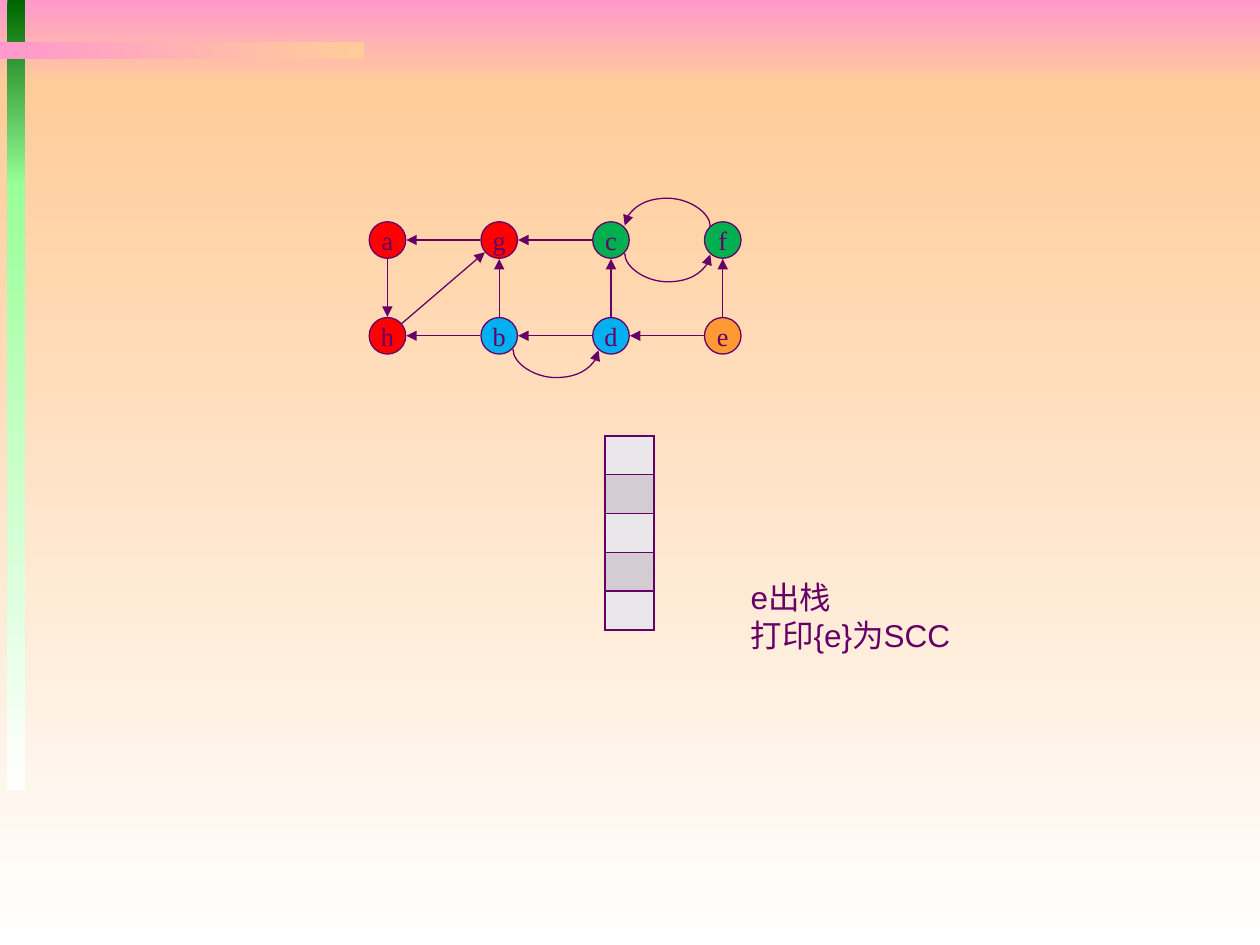
from lxml import etree
from pptx import Presentation
from pptx.dml.color import RGBColor
from pptx.enum import shapes, text
from pptx.oxml.ns import qn
from pptx.util import Inches, Pt

HEX = {
    "pink": "FF99CC", "peach": "FFCC99", "white": "FFFFFF",
    "dark": "006600", "mint": "99FF99", "plum": "660066",
    "red": "FF0000", "blue": "00B0F0", "green": "00B050",
    "orange": "FF9933", "pale": "EAE7EA", "grey": "D3CCD3",
}
RGB = {name: RGBColor.from_string(code) for name, code in HEX.items()}


def write(frame, words, font="Arial", size=18, align=text.PP_ALIGN.LEFT):
    frame.text = words
    for para in frame.paragraphs:
        para.alignment = align
        for run in para.runs:
            run.font.name = font
            run.font.size = Pt(size)
            run.font.color.rgb = RGB["plum"]


def arrow(kind, x1, y1, x2, y2):
    """Add a thin connector with a triangle at its end."""
    link = slide.shapes.add_connector(
        kind, Inches(x1), Inches(y1), Inches(x2), Inches(y2))
    link.line.color.rgb = RGB["plum"]
    link.line.width = Pt(0.75)
    etree.SubElement(link.line._get_or_add_ln(), qn("a:tailEnd"), type="triangle")
    etree.SubElement(link._element.spPr, qn("a:effectLst"))
    return link


prs = Presentation()
prs.slide_width, prs.slide_height = Inches(10), Inches(7.5)
slide = prs.slides.add_slide(prs.slide_layouts[6])

# Backdrop and side bars: left, top, width, height, two colours, angle
bands = [
    (0, 0, 10, 0.67, "pink", "peach", 270),
    (0, 0.67, 10, 6.83, "peach", "white", 270),
    (0.06, 0, 0.14, 1.48, "dark", "mint", 270),
    (0.06, 1.46, 0.14, 4.81, "mint", "white", 270),
    (0, 0.33, 2.89, 0.14, "pink", "peach", 0),
]
for *box, first, last, angle in bands:
    band = slide.shapes.add_shape(
        shapes.MSO_SHAPE.RECTANGLE, *[Inches(v) for v in box])
    band.shadow.inherit = False
    band.line.fill.background()
    band.fill.gradient()
    band.fill.gradient_angle = angle
    for stop, name, place in zip(band.fill.gradient_stops, (first, last), (0, 1)):
        stop.color.rgb = RGB[name]
        stop.position = place

# Graph nodes on a grid of four columns and two rows
SIZE, RAD = 0.29, 0.15
rows = [
    (1.76, [("a", "red"), ("g", "red"), ("c", "green"), ("f", "green")]),
    (2.52, [("h", "red"), ("b", "blue"), ("d", "blue"), ("e", "orange")]),
]
mid = {}
for top, nodes in rows:
    for col, (name, fill) in enumerate(nodes):
        left = 2.93 + 0.887 * col
        mid[name] = (left + SIZE / 2, top + SIZE / 2)
        node = slide.shapes.add_shape(
            shapes.MSO_SHAPE.OVAL, Inches(left), Inches(top),
            Inches(SIZE), Inches(SIZE))
        node.shadow.inherit = False
        node.fill.solid()
        node.fill.fore_color.rgb = RGB[fill]
        node.line.color.rgb = RGB["plum"]
        node.line.width = Pt(0.75)
        frame = node.text_frame
        frame.margin_left = frame.margin_right = 0
        frame.margin_top = frame.margin_bottom = 0
        frame.vertical_anchor = text.MSO_ANCHOR.MIDDLE
        write(frame, name, font="Times New Roman", size=15,
              align=text.PP_ALIGN.CENTER)

# Straight edges run from rim to rim
for start, end in ["ga", "cg", "bg", "dc", "ef", "ah", "bh", "db", "ed", "hg"]:
    (x1, y1), (x2, y2) = mid[start], mid[end]
    span = ((x2 - x1) ** 2 + (y2 - y1) ** 2) ** 0.5
    dx, dy = RAD * (x2 - x1) / span, RAD * (y2 - y1) / span
    arrow(shapes.MSO_CONNECTOR.STRAIGHT, x1 + dx, y1 + dy, x2 - dx, y2 - dy)

# Curved edges: a thin upright connector turned by 270 degrees, bulging 0.23
THIN, HALF, DIAG = 0.01, 0.34, 0.11
for start, end in ["fc", "cf", "bd"]:
    (x1, y1), (x2, _) = mid[start], mid[end]
    x = (x1 + x2) / 2
    if x2 < x1:
        y = y1 - DIAG
        ends = (x, y + HALF, x + THIN, y - HALF)
    else:
        y = y1 + DIAG
        ends = (x + THIN, y - HALF, x, y + HALF)
    curve = arrow(shapes.MSO_CONNECTOR.CURVE, *ends)
    props = curve._element.spPr
    props.find(qn("a:xfrm")).set("rot", str(270 * 60000))
    geom = props.find(qn("a:prstGeom"))
    guides = geom.find(qn("a:avLst"))
    if guides is None:
        guides = etree.SubElement(geom, qn("a:avLst"))
    etree.SubElement(guides, qn("a:gd"), name="adj1", fmla="val 2300000")

# Empty stack
stack = slide.shapes.add_table(
    5, 1, Inches(4.8), Inches(3.46), Inches(0.39), Inches(1.54)).table
for i, row in enumerate(stack.rows):
    cell = row.cells[0]
    cell.margin_left = cell.margin_right = 0
    cell.margin_top = cell.margin_bottom = 0
    props = cell._tc.get_or_add_tcPr()
    for side in ("a:lnL", "a:lnR", "a:lnT", "a:lnB"):
        edge = etree.SubElement(props, qn(side), w=str(Pt(1)))
        paint = etree.SubElement(edge, qn("a:solidFill"))
        etree.SubElement(paint, qn("a:srgbClr"), val=HEX["plum"])
    cell.fill.solid()
    cell.fill.fore_color.rgb = RGB["grey" if i % 2 else "pale"]

note = slide.shapes.add_textbox(
    Inches(5.86), Inches(4.54), Inches(2.4), Inches(0.71)).text_frame
note.word_wrap = True
note.auto_size = text.MSO_AUTO_SIZE.SHAPE_TO_FIT_TEXT
write(note, "e出栈\n打印{e}为SCC")

prs.save("out.pptx")
